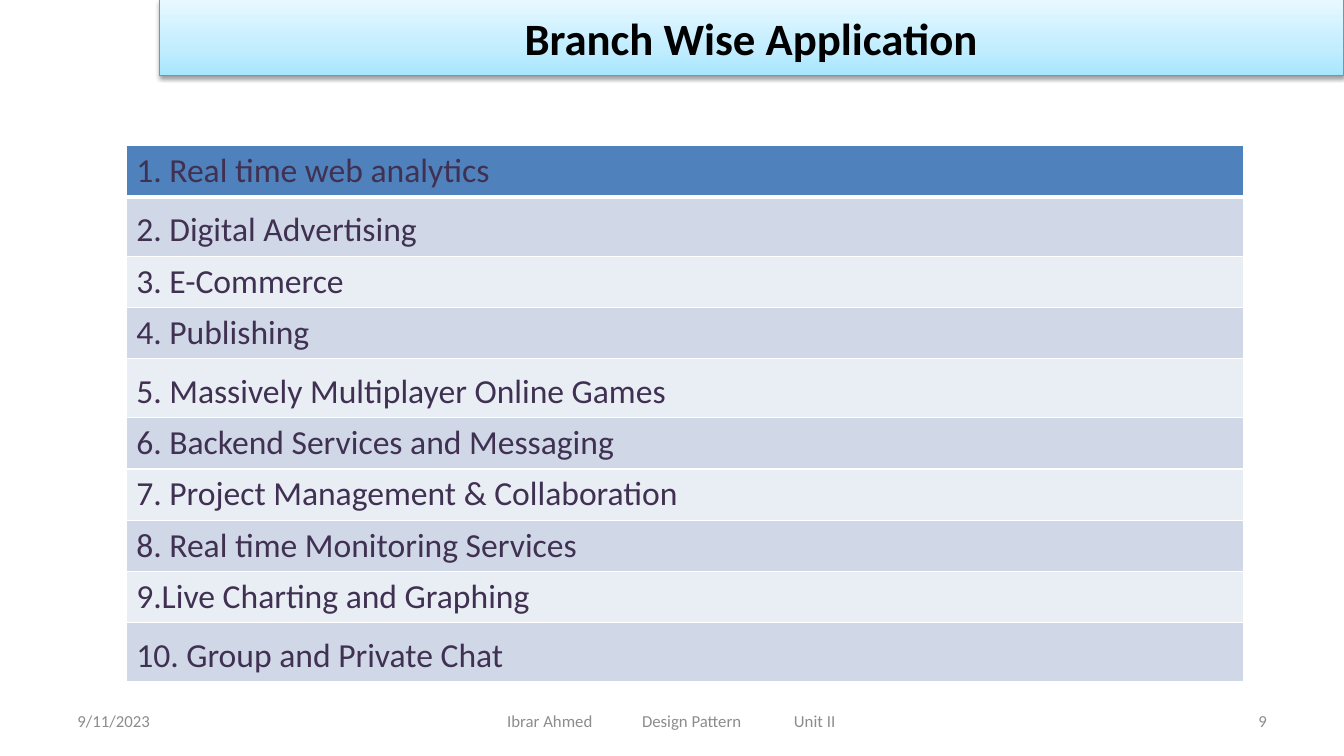
from dataclasses import dataclass, field

from lxml.etree import SubElement
from pptx import Presentation
from pptx.dml.color import RGBColor
from pptx.enum.shapes import MSO_SHAPE as Shape
from pptx.enum.text import MSO_ANCHOR as Anchor, PP_ALIGN as Align
from pptx.oxml import parse_xml
from pptx.oxml.ns import nsdecls, qn
from pptx.util import Cm, Pt

FONT = "Calibri"
ROW_HEIGHT, TALL_ROW_HEIGHT = 1.29, 1.49
TALL_SPACING = 1.2
HEADER_FILL, BAND_FILLS = "4F81BD", ("E9EDF4", "D0D8E8")
THIN, THICK = 1, 3

TITLE_FORMAT = {"size": Pt(32), "bold": True}
CELL_FORMAT = {"size": Pt(24)}
FOOTER_FORMAT = {"size": Pt(12)}


@dataclass
class Footer:
    text: str
    left: float
    width: float
    align: Align = Align.LEFT
    inset: float = 0.25
    tabs: list[float] = field(default_factory=list)


@dataclass
class Application:
    text: str
    tall: bool = False


FOOTERS = [
    Footer("9/11/2023", 1.7, 7.9),
    Footer("Ibrar Ahmed\tDesign Pattern\tUnit II", 11.58, 10.72,
           inset=1.2, tabs=[3.4, 7.23]),
    Footer("9", 24.28, 7.9, Align.RIGHT),
]

APPLICATIONS = [
    Application("1. Real time web analytics"),
    Application("2. Digital Advertising", tall=True),
    Application("3. E-Commerce"),
    Application("4. Publishing"),
    Application("5. Massively Multiplayer Online Games", tall=True),
    Application("6. Backend Services and Messaging"),
    Application("7. Project Management & Collaboration"),
    Application("8. Real time Monitoring Services"),
    Application("9.Live Charting and Graphing"),
    Application("10. Group and Private Chat", tall=True),
]


def rgb(value: str) -> RGBColor:
    return RGBColor.from_string(value)


def write(p, text: str, color: str, formats: dict) -> None:
    r = p.add_run()
    r.text = text
    for name, value in {"name": FONT, **formats}.items():
        setattr(r.font, name, value)
    r.font.color.rgb = rgb(color)


def add_title(slide) -> None:
    sp = slide.shapes.add_shape(Shape.RECTANGLE, Cm(4.01), Cm(0), Cm(29.85), Cm(1.9))
    sp.line.color.rgb = rgb("46AAC5")
    sp.line.width = Pt(0.75)
    stops = "".join(
        f'<a:gs pos="{percent * 1000}"><a:srgbClr val="{color}"/></a:gs>'
        for percent, color in ((0, "A7E6FF"), (35, "C1EDFF"), (100, "E7F8FF")))
    sp._element.spPr.find(qn("a:ln")).addprevious(parse_xml(
        f'<a:gradFill {nsdecls("a")} rotWithShape="1"><a:gsLst>{stops}</a:gsLst>'
        '<a:lin ang="16200000" scaled="1"/></a:gradFill>'))
    sp._element.spPr.append(parse_xml(
        f'<a:effectLst {nsdecls("a")}><a:outerShdw blurRad="{Pt(3.1)}" '
        f'dist="{Pt(1.6)}" dir="5400000" rotWithShape="0">'
        '<a:srgbClr val="000000"><a:alpha val="38000"/></a:srgbClr>'
        '</a:outerShdw></a:effectLst>'))
    tf = sp.text_frame
    tf.word_wrap = True
    tf.vertical_anchor = Anchor.MIDDLE
    p = tf.paragraphs[0]
    p.alignment = Align.CENTER
    write(p, "Branch Wise Application", "000000", TITLE_FORMAT)


def add_footer(slide, footer: Footer) -> None:
    box = slide.shapes.add_textbox(
        Cm(footer.left), Cm(17.65), Cm(footer.width), Cm(1.02))
    tf = box.text_frame
    tf.word_wrap = True
    tf.vertical_anchor = Anchor.MIDDLE
    tf.margin_left = Cm(footer.inset)
    p = tf.paragraphs[0]
    p.alignment = footer.align
    if footer.tabs:
        tab_list = SubElement(p._p.get_or_add_pPr(), qn("a:tabLst"))
        for position in footer.tabs:
            SubElement(tab_list, qn("a:tab"), pos=str(Cm(position)), algn="l")
    write(p, footer.text, "8C8C8C", FOOTER_FORMAT)


def set_borders(cell, top: float, bottom: float) -> None:
    widths = {"lnL": THIN, "lnR": THIN, "lnT": top, "lnB": bottom}
    for tag, width in widths.items():
        cell._tc.get_or_add_tcPr().append(parse_xml(
            f'<a:{tag} {nsdecls("a")} w="{Pt(width)}"><a:solidFill>'
            f'<a:srgbClr val="FFFFFF"/></a:solidFill></a:{tag}>'))


def add_applications(slide) -> None:
    heights = [TALL_ROW_HEIGHT if a.tall else ROW_HEIGHT for a in APPLICATIONS]
    table = slide.shapes.add_table(
        len(APPLICATIONS), 1, Cm(3.18), Cm(3.67), Cm(28.15), Cm(sum(heights))).table
    for i, (application, height) in enumerate(zip(APPLICATIONS, heights)):
        table.rows[i].height = Cm(height)
        cell = table.cell(i, 0)
        set_borders(cell, top=THICK if i == 1 else THIN,
                    bottom=THICK if i == 0 else THIN)
        cell.fill.solid()
        cell.fill.fore_color.rgb = rgb(BAND_FILLS[i % 2] if i else HEADER_FILL)
        p = cell.text_frame.paragraphs[0]
        if application.tall:
            p.line_spacing = TALL_SPACING
        write(p, application.text, "403152", {**CELL_FORMAT, "bold": False})


def main() -> None:
    prs = Presentation()
    prs.slide_width, prs.slide_height = Cm(33.87), Cm(19.05)
    slide = prs.slides.add_slide(prs.slide_layouts[6])
    add_title(slide)
    add_applications(slide)
    for footer in FOOTERS:
        add_footer(slide, footer)
    prs.save("out.pptx")


if __name__ == "__main__":
    main()
